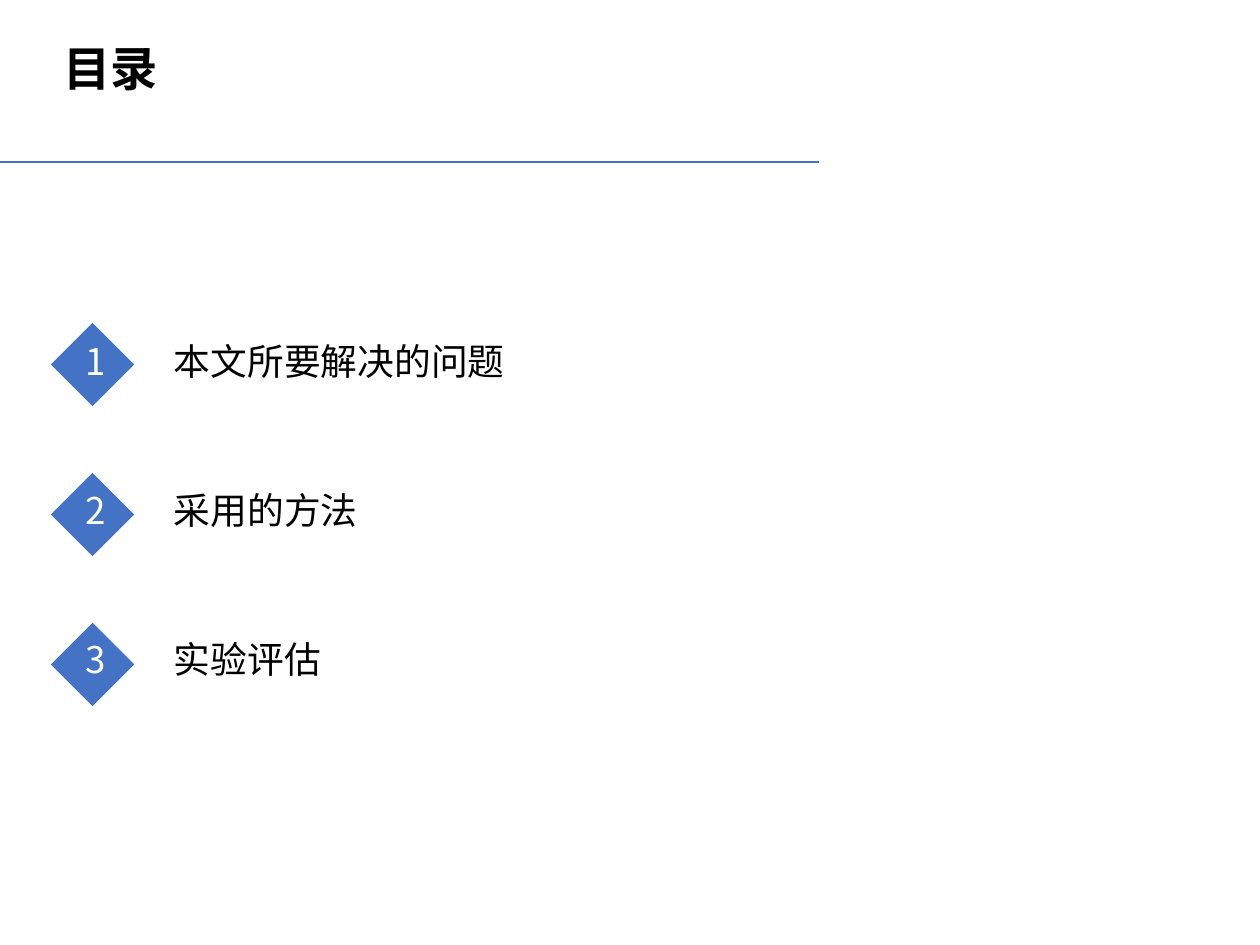
"""Builds a contents slide with three numbered topics."""
from dataclasses import dataclass

from lxml import etree
from pptx import Presentation
from pptx.dml.color import RGBColor
from pptx.enum.shapes import MSO_CONNECTOR, MSO_SHAPE
from pptx.enum.text import PP_ALIGN
from pptx.oxml.ns import qn
from pptx.util import Emu, Pt


@dataclass(frozen=True)
class Theme:
    font: str = "Noto Sans CJK SC"
    accent: RGBColor = RGBColor(0x44, 0x72, 0xC4)
    ink: RGBColor = RGBColor(0, 0, 0)
    white: RGBColor = RGBColor(255, 255, 255)
    title_size: int = 27
    item_size: int = 21


theme = Theme()


def px(pixels):
    return Emu(round(pixels * 914400 / 126))


def add_text(text, *, left, top, width, height, size=theme.item_size,
             color=theme.ink, bold=False, align=PP_ALIGN.LEFT, insets=(9, 5, 9, 5)):
    box = page.shapes.add_textbox(px(left), px(top), px(width), px(height))
    frame = box.text_frame
    frame.word_wrap = True
    frame.margin_left, frame.margin_top, frame.margin_right, frame.margin_bottom = map(px, insets)
    para = frame.paragraphs[0]
    para.alignment = align
    para.line_spacing = 0.9
    span = para.add_run()
    span.text = text
    span.font.name = theme.font
    span.font.size = Pt(size)
    span.font.bold = bold
    span.font.color.rgb = color
    east_asian = etree.SubElement(span.font._element, qn("a:ea"))
    east_asian.set("typeface", theme.font)


deck = Presentation()
deck.slide_width, deck.slide_height = px(1260), px(945)
page = deck.slides.add_slide(deck.slide_layouts[6])

rule = page.shapes.add_connector(MSO_CONNECTOR.STRAIGHT, px(0), px(162), px(819), px(162))
rule.line.color.rgb = theme.accent
rule.line.width = Pt(1.25)
etree.SubElement(rule._element.spPr, qn("a:effectLst"))

add_text("目录", left=50, top=40, width=1012, height=90,
         size=theme.title_size, bold=True, insets=(13, 6, 13, 6))

topics = [("本文所要解决的问题", 528), ("采用的方法", 598), ("实验评估", 578)]
for index, (topic, width) in enumerate(topics):
    diamond = page.shapes.add_shape(MSO_SHAPE.RECTANGLE, px(63), px(335 + 150 * index), px(59), px(59))
    diamond.rotation = 45
    diamond.shadow.inherit = False
    diamond.fill.solid()
    diamond.fill.fore_color.rgb = theme.accent
    diamond.line.fill.background()
    text_top = 339 + 149 * index
    add_text(str(index + 1), left=74, top=text_top, width=37, height=57,
             color=theme.white, align=PP_ALIGN.CENTER, insets=(7, 5, 0, 5))
    add_text(topic, left=165, top=text_top, width=width, height=57, align=PP_ALIGN.JUSTIFY)

deck.save("out.pptx")
